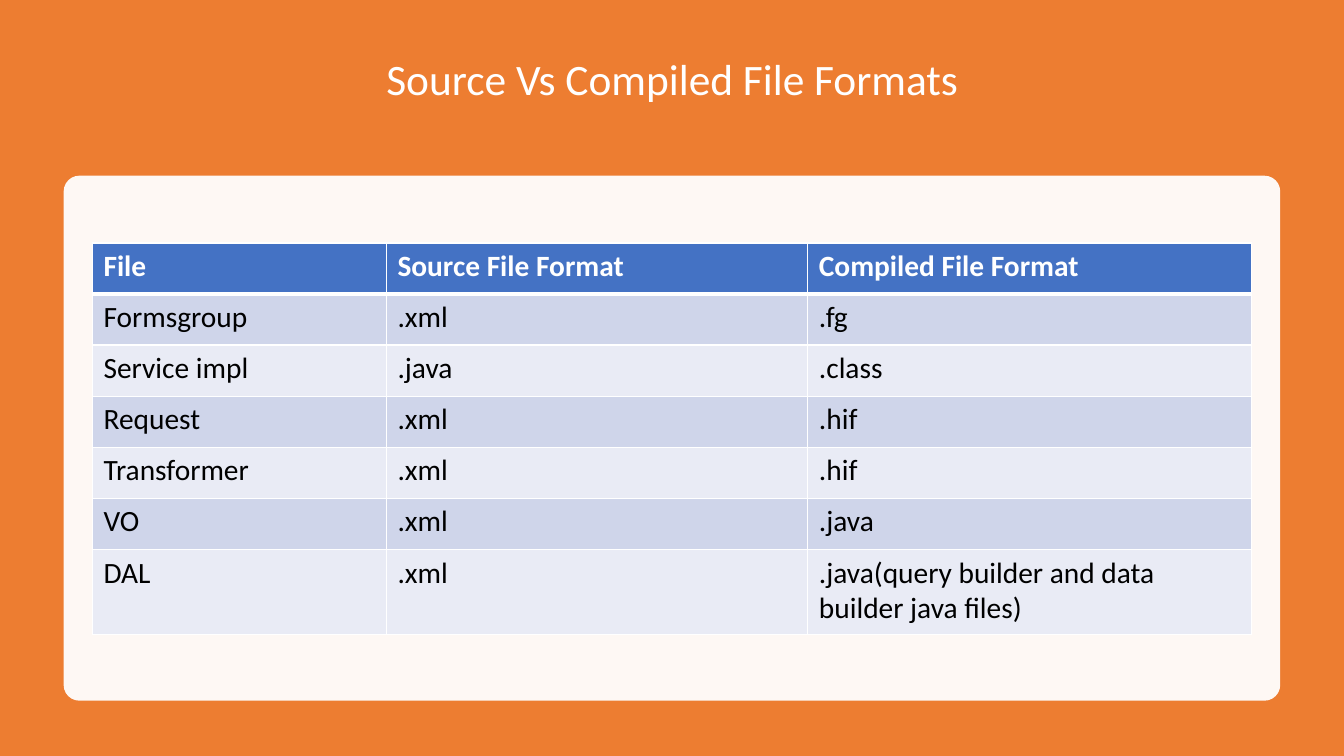
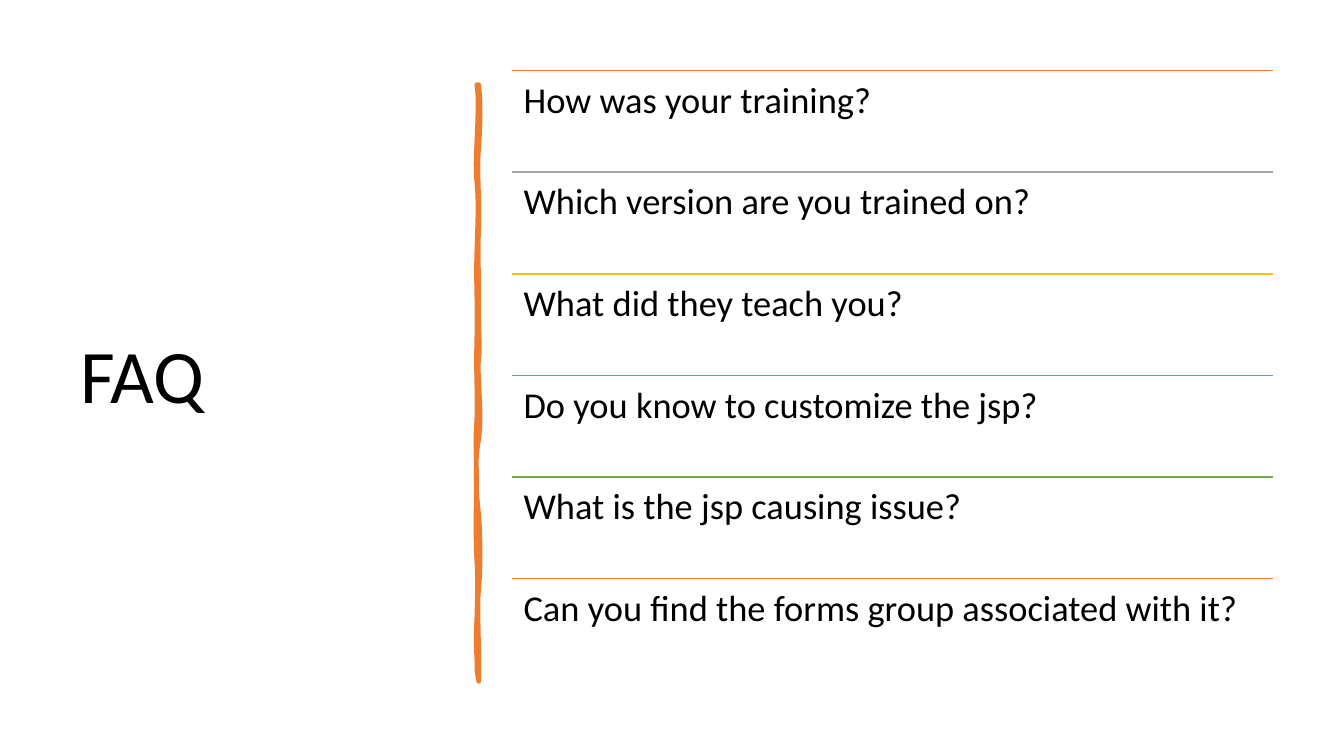
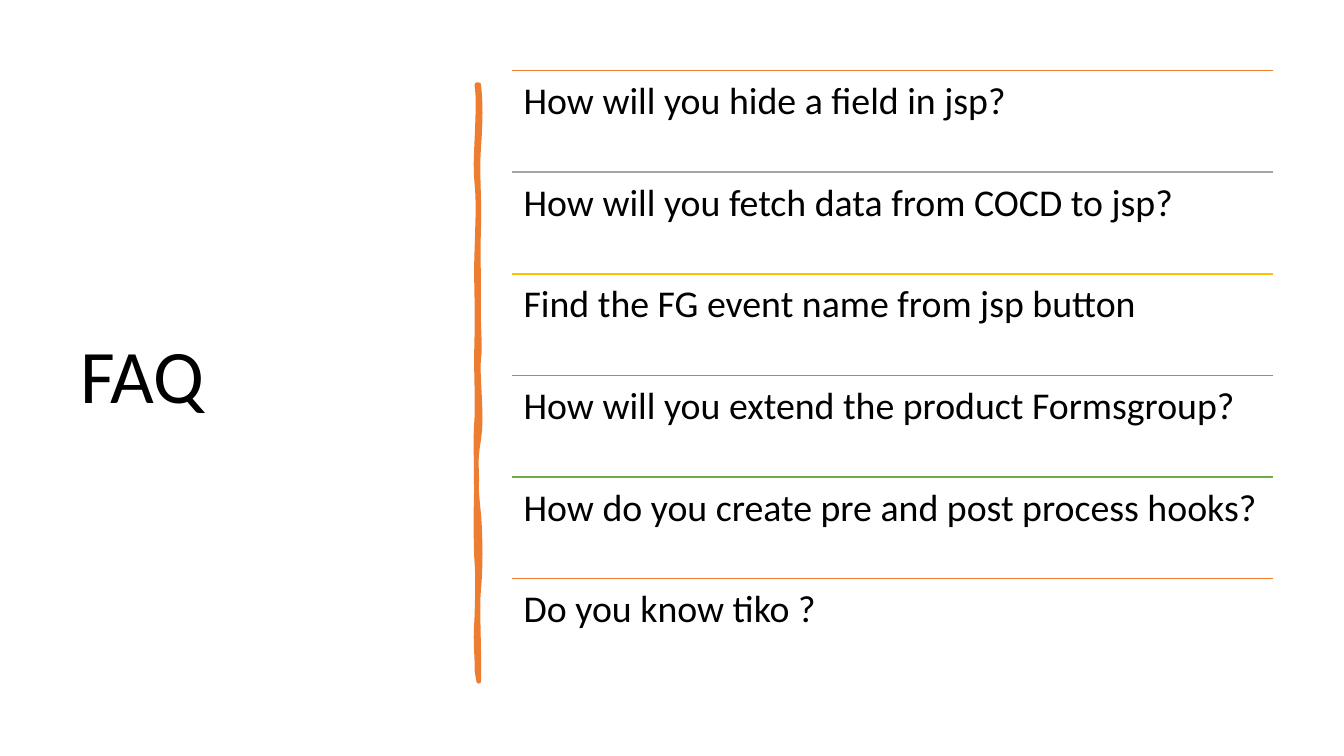
"""Build three training slides: a file format table and two FAQ lists."""
import lxml.etree
import pptx
import pptx.dml.color
import pptx.enum.shapes
import pptx.enum.text
import pptx.oxml
import pptx.oxml.ns
import pptx.util

Pt = pptx.util.Pt
SHAPES = pptx.enum.shapes.MSO_SHAPE
ALIGN = pptx.enum.text.PP_ALIGN
ANCHOR = pptx.enum.text.MSO_ANCHOR
qn = pptx.oxml.ns.qn

WIDTH, HEIGHT = 960, 540
FONT = "Calibri"
ORANGE, WHITE, BLACK = "ED7D31", "FFFFFF", "000000"
HEADER_FILL, ROW_FILLS = "4472C4", ("CFD5EA", "E9EBF5")
RULE_COLORS = (ORANGE, "A5A5A5", "FFC000", "5B9BD5", "70AD47", ORANGE)

FORMATS = [
    ("File", "Source File Format", "Compiled File Format"),
    ("Formsgroup", ".xml", ".fg"),
    ("Service impl", ".java", ".class"),
    ("Request", ".xml", ".hif"),
    ("Transformer", ".xml", ".hif"),
    ("VO", ".xml", ".java"),
    ("DAL", ".xml", ".java(query builder and data builder java files)"),
]
TRAINING_QUESTIONS = [
    "How was your training?",
    "Which version are you trained on?",
    "What did they teach you?",
    "Do you know to customize the jsp?",
    "What is the jsp causing issue?",
    "Can you find the forms group associated with it?",
]
PRODUCT_QUESTIONS = [
    "How will you hide a field in jsp?",
    "How will you fetch data from COCD to jsp?",
    "Find the FG event name from jsp button",
    "How will you extend the product Formsgroup?",
    "How do you create pre and post process hooks?",
    "Do you know tiko ?",
]

STROKE_TOP, STROKE_RIGHT, STROKE_LEFT = 60.5, 342, 340.6
RIGHT_CURVES = [
    (343.4, 73.4, 343.4, 85.7, 105.1),
    (340.6, 124.6, 342.7, 140.4, 162.7),
    (341.3, 185, 342, 188.6, 211.7),
    (341.3, 234, 343.4, 246.2, 256.3),
    (340.6, 266.4, 344.9, 298.1, 313.9),
    (339.1, 329, 339.8, 348.5, 367.2),
    (343.4, 385.9, 343.4, 406.1, 420.5),
    (340.6, 434.2, 342.7, 468, 486.7),
]
LEFT_CURVES = [
    (341.3, 465.1, 339.1, 463.7, 441.4),
    (341.3, 419.8, 341.3, 410.4, 401),
    (339.8, 391.7, 339.8, 356.4, 343.4),
    (340.6, 330.5, 339.1, 320.4, 298.8),
    (341.3, 277.9, 339.8, 268.6, 241.2),
    (341.3, 214.6, 339.8, 202.3, 180),
    (341.3, 157, 342, 144, 130.3),
    (338.4, 117.4, 343.4, 74.9, 60.5),
]


def rgb(color):
    """Turn a hex string into a colour."""
    return pptx.dml.color.RGBColor.from_string(color)


def set_attrs(obj, values):
    """Set each attribute of obj named in values."""
    for name, value in values.items():
        setattr(obj, name, value)


def write(tf, text, size, color, bold=False, align=ALIGN.LEFT, spacing=None):
    """Write one formatted paragraph into a text frame."""
    p = tf.paragraphs[0]
    set_attrs(p, {"alignment": align, "line_spacing": spacing})
    r = p.add_run()
    r.text = text
    set_attrs(r.font, {"name": FONT, "size": Pt(size), "bold": bold})
    r.font.color.rgb = rgb(color)


def set_title(slide, text, box, size, color, align, bottom=3.6):
    """Place and format the title placeholder."""
    sp = slide.shapes.title
    set_attrs(sp, dict(zip(("left", "top", "width", "height"), map(Pt, box))))
    set_attrs(sp.text_frame, {
        "word_wrap": True, "vertical_anchor": ANCHOR.MIDDLE,
        "auto_size": pptx.enum.text.MSO_AUTO_SIZE.NONE, "margin_bottom": Pt(bottom)})
    write(sp.text_frame, text, size, color, align=align, spacing=0.9)


def add_panel(slide, kind, box, color, alpha=None):
    """Add a plain filled shape behind everything but earlier panels."""
    sp = slide.shapes.add_shape(kind, *map(Pt, box))
    sp.shadow.inherit = False
    sp.fill.solid()
    sp.fill.fore_color.rgb = rgb(color)
    sp.line.fill.background()
    if alpha:
        srgb = sp.element.spPr.find(".//" + qn("a:srgbClr"))
        lxml.etree.SubElement(srgb, qn("a:alpha"), val=str(alpha * 1000))
    return sp


def set_borders(cell, widths):
    """Give a cell white borders, widths keyed by side letter."""
    tcPr = cell._tc.get_or_add_tcPr()
    for side, width in widths.items():
        ln = lxml.etree.SubElement(tcPr, qn("a:ln" + side), w=str(Pt(width)))
        fill = lxml.etree.SubElement(ln, qn("a:solidFill"))
        lxml.etree.SubElement(fill, qn("a:srgbClr"), val=WHITE)


def add_table(slide, rows, left, top, col_widths, row_heights):
    """Add a banded table with a header row."""
    frame = slide.shapes.add_table(len(rows), len(col_widths), Pt(left), Pt(top),
                                   Pt(sum(col_widths)), Pt(sum(row_heights)))
    table = frame.table
    for col, width in zip(table.columns, col_widths):
        col.width = Pt(width)
    for i, (row, height) in enumerate(zip(rows, row_heights)):
        table.rows[i].height = Pt(height)
        header = i == 0
        for j, text in enumerate(row):
            cell = table.cell(i, j)
            set_attrs(cell, {"margin_left": Pt(8), "margin_right": Pt(8),
                             "margin_top": Pt(4), "margin_bottom": Pt(4)})
            set_borders(cell, {"L": 1, "R": 1, "T": 3 if i == 1 else 1,
                               "B": 3 if header else 1})
            cell.fill.solid()
            cell.fill.fore_color.rgb = rgb(HEADER_FILL if header else ROW_FILLS[(i - 1) % 2])
            write(cell.text_frame, text, 21, WHITE if header else BLACK, bold=header)


def curve_points(x, y, curves, steps=8):
    """Sample a chain of cubic curves whose ends share one x."""
    points = []
    for x1, y1, x2, y2, end in curves:
        for t in (k / steps for k in range(1, steps + 1)):
            a, b, c, d = (1 - t) ** 3, 3 * t * (1 - t) ** 2, 3 * t * t * (1 - t), t ** 3
            points.append((Pt(a * x + b * x1 + c * x2 + d * x),
                           Pt(a * y + b * y1 + c * y2 + d * end)))
        y = end
    return points


def add_brush_stroke(slide):
    """Add the uneven vertical stroke beside the title."""
    right = curve_points(STROKE_RIGHT, STROKE_TOP, RIGHT_CURVES)
    left = curve_points(STROKE_LEFT, RIGHT_CURVES[-1][-1], LEFT_CURVES)
    builder = slide.shapes.build_freeform(Pt(STROKE_RIGHT), Pt(STROKE_TOP))
    builder.add_line_segments(right + left, close=True)
    sp = builder.convert_to_shape()
    sp.shadow.inherit = False
    sp.fill.solid()
    sp.fill.fore_color.rgb = rgb(ORANGE)
    sp.line.color.rgb = rgb(ORANGE)
    sp.line.width = Pt(3.25)
    lxml.etree.SubElement(sp.element.spPr.find(qn("a:ln")), qn("a:round"))


def add_rule(slide, left, top, width, color):
    """Add a thin horizontal line."""
    line = slide.shapes.add_connector(pptx.enum.shapes.MSO_CONNECTOR.STRAIGHT,
                                      Pt(left), Pt(top), Pt(left + width), Pt(top))
    line.line.color.rgb = rgb(color)
    line.line.width = Pt(1)
    lxml.etree.SubElement(line._element.spPr, qn("a:effectLst"))


def add_questions(slide, questions, size):
    """Stack questions at equal steps, each under a coloured rule."""
    left, top, width, step = 366, 50.4, 543.5, 72.6
    for i, (question, color) in enumerate(zip(questions, RULE_COLORS)):
        y = top + i * step
        add_rule(slide, left, y, width, color)
        tf = slide.shapes.add_textbox(Pt(left), Pt(y), Pt(width), Pt(step)).text_frame
        set_attrs(tf, {"word_wrap": True, "margin_left": Pt(8), "margin_right": Pt(8),
                       "margin_top": Pt(8), "margin_bottom": Pt(8)})
        write(tf, question, size, BLACK, spacing=0.9)


def add_formats_slide(prs):
    """Add the file format slide."""
    slide = prs.slides.add_slide(prs.slide_layouts[5])
    backdrop = add_panel(slide, SHAPES.RECTANGLE, (0, 0, WIDTH, HEIGHT), ORANGE)
    slide.shapes.title.element.addprevious(backdrop.element)
    set_title(slide, "Source Vs Compiled File Formats", (66, 36, 828, 79), 31, WHITE,
              ALIGN.CENTER, bottom=38)
    card = add_panel(slide, SHAPES.ROUNDED_RECTANGLE, (45.5, 125.5, 869, 375), WHITE, 95)
    card.adjustments[0] = 0.03
    add_table(slide, FORMATS, 66, 173.5, (210, 301, 317), [36.5] * 6 + [61])


def add_faq_slide(prs, questions, size):
    """Add a FAQ slide with its list of questions."""
    slide = prs.slides.add_slide(prs.slide_layouts[5])
    set_title(slide, "FAQ", (50, 50.4, 269, 440), 54, BLACK, ALIGN.LEFT)
    add_brush_stroke(slide)
    add_questions(slide, questions, size)


def main():
    """Build and save the presentation."""
    prs = pptx.Presentation()
    set_attrs(prs, {"slide_width": Pt(WIDTH), "slide_height": Pt(HEIGHT)})
    add_formats_slide(prs)
    add_faq_slide(prs, TRAINING_QUESTIONS, 26)
    add_faq_slide(prs, PRODUCT_QUESTIONS, 27)
    prs.save("out.pptx")


main()
